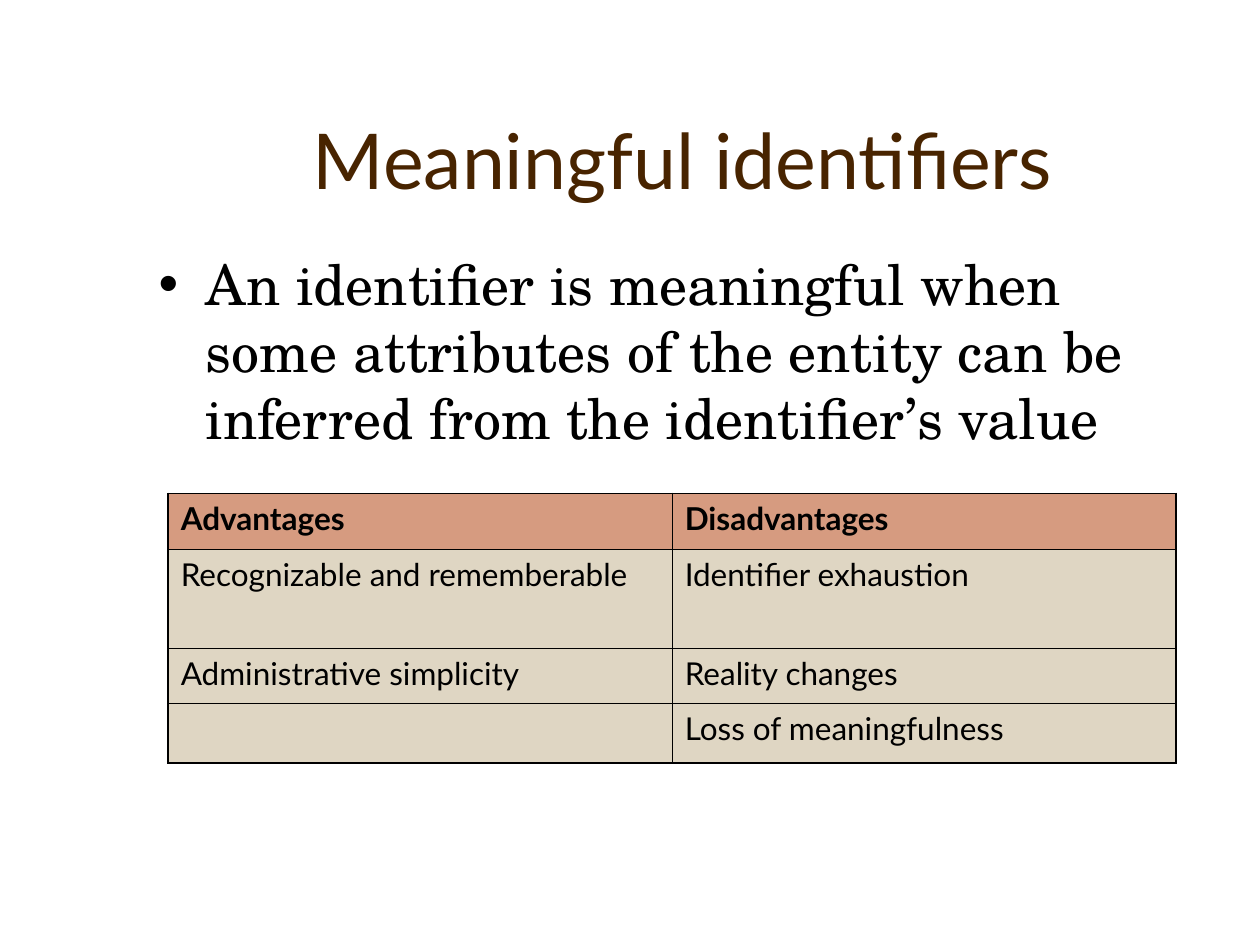
import dataclasses
import typing

import lxml.etree
import pptx
import pptx.dml.color
import pptx.enum.text
import pptx.oxml.ns
import pptx.util

Cm = pptx.util.Cm
Pt = pptx.util.Pt


@dataclasses.dataclass(frozen=True)
class Theme:
    title_color: str = "482400"
    ink: str = "000000"
    header_fill: str = "D69B80"
    body_fill: str = "DFD6C3"
    sans: str = "Lato"
    serif: str = "TeX Gyre Schola"
    title_size: float = 44
    body_size: float = 32
    table_size: float = 18
    outer_line: float = 1.08
    inner_line: float = 0.45


class TextStyle(typing.NamedTuple):
    font: str
    size: float
    color: str
    bold: bool = False


class Area(typing.NamedTuple):
    """Left, top, width and height in centimetres."""
    left: float
    top: float
    width: float
    height: float


class TableRow(typing.NamedTuple):
    height: float
    advantage: str
    disadvantage: str


THEME = Theme()
ROWS = [
    TableRow(1.12, "Advantages", "Disadvantages"),
    TableRow(1.99, "Recognizable and rememberable", "Identifier exhaustion"),
    TableRow(1.11, "Administrative simplicity", "Reality changes"),
    TableRow(1.21, "", "Loss of meaningfulness"),
]


def add_span(para, text: str, style: TextStyle) -> None:
    span = para.add_run()
    span.text = text
    span.font.name = style.font
    span.font.size = Pt(style.size)
    span.font.bold = style.bold
    span.font.color.rgb = pptx.dml.color.RGBColor.from_string(style.color)


def add_text(page, area: Area, text: str, style: TextStyle, anchor):
    box = page.shapes.add_textbox(*map(Cm, area))
    box.text_frame.word_wrap = True
    box.text_frame.vertical_anchor = anchor
    para = box.text_frame.paragraphs[0]
    add_span(para, text, style)
    return para


def add_bullet(para, indent: float, color: str) -> None:
    properties = para._p.get_or_add_pPr()
    properties.set("marL", str(Cm(indent)))
    properties.set("indent", str(-Cm(indent)))
    bullet_color = lxml.etree.SubElement(properties, pptx.oxml.ns.qn("a:buClr"))
    lxml.etree.SubElement(bullet_color, pptx.oxml.ns.qn("a:srgbClr"), val=color)
    lxml.etree.SubElement(properties, pptx.oxml.ns.qn("a:buFont"), typeface="Arial")
    lxml.etree.SubElement(properties, pptx.oxml.ns.qn("a:buChar"), char="•")


def set_borders(cell, outer_sides: dict[str, bool]) -> None:
    """Draw each side with the outer or the inner line width."""
    properties = cell._tc.get_or_add_tcPr()
    for side, is_outer in outer_sides.items():
        width = THEME.outer_line if is_outer else THEME.inner_line
        line = lxml.etree.SubElement(
            properties, pptx.oxml.ns.qn(f"a:ln{side}"), w=str(Pt(width)))
        fill = lxml.etree.SubElement(line, pptx.oxml.ns.qn("a:solidFill"))
        lxml.etree.SubElement(fill, pptx.oxml.ns.qn("a:srgbClr"), val=THEME.ink)


def add_comparison(page, area: Area, rows: list[TableRow]) -> None:
    table = page.shapes.add_table(len(rows), 2, *map(Cm, area)).table
    for row_index, row in enumerate(rows):
        table.rows[row_index].height = Cm(row.height)
        is_header = row_index == 0
        style = TextStyle(THEME.sans, THEME.table_size, THEME.ink, is_header)
        color = THEME.header_fill if is_header else THEME.body_fill
        for column, text in enumerate((row.advantage, row.disadvantage)):
            cell = table.cell(row_index, column)
            set_borders(cell, {
                "L": column == 0,
                "R": column == 1,
                "T": is_header,
                "B": row_index == len(rows) - 1,
            })
            cell.fill.solid()
            cell.fill.fore_color.rgb = pptx.dml.color.RGBColor.from_string(color)
            if text:
                para = cell.text_frame.paragraphs[0]
                para.space_before = Pt(4.5)
                add_span(para, text, style)


def main() -> None:
    deck = pptx.Presentation()
    deck.slide_width, deck.slide_height = Cm(25.4), Cm(19.05)
    page = deck.slides.add_slide(deck.slide_layouts[6])

    title = add_text(
        page, Area(2.97, 1.07, 21.59, 3.18), "Meaningful identifiers",
        TextStyle(THEME.sans, THEME.title_size, THEME.title_color),
        pptx.enum.text.MSO_ANCHOR.BOTTOM)
    title.alignment = pptx.enum.text.PP_ALIGN.CENTER

    definition = add_text(
        page, Area(2.95, 4.9, 21.59, 11.43),
        "An identifier is meaningful when some attributes of the entity "
        "can be inferred from the identifier’s value",
        TextStyle(THEME.serif, THEME.body_size, THEME.ink),
        pptx.enum.text.MSO_ANCHOR.TOP)
    definition.space_before = Pt(8)
    add_bullet(definition, 0.95, THEME.ink)

    table_height = sum(row.height for row in ROWS)
    add_comparison(page, Area(3.39, 9.95, 20.32, table_height), ROWS)
    deck.save("out.pptx")


if __name__ == "__main__":
    main()
